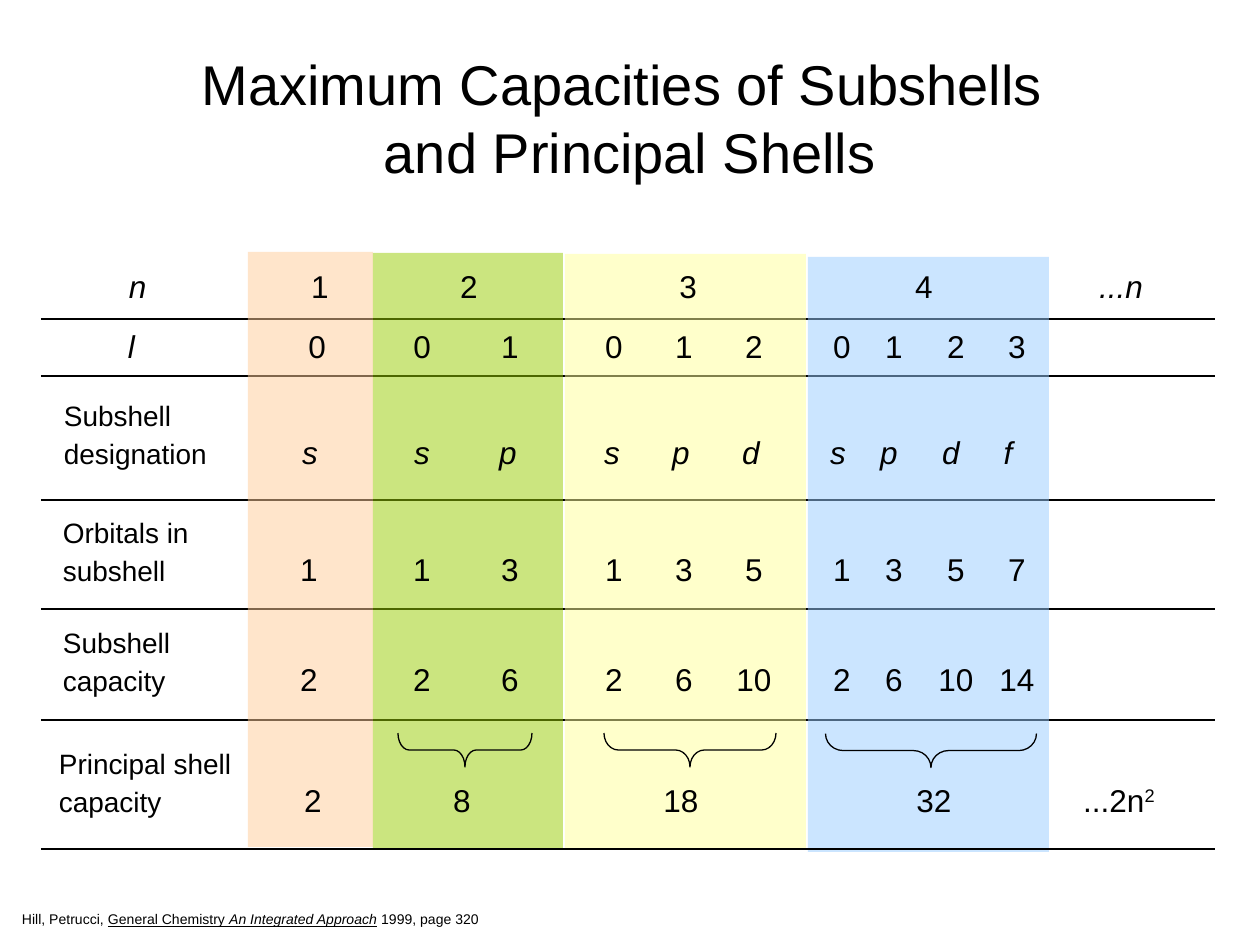
import lxml.etree
import pptx
import pptx.dml.color
import pptx.enum.shapes
import pptx.enum.text
import pptx.oxml.ns
import pptx.util

PX = 914400 // 126
BLACK = "000000"
INSET_X, INSET_Y = 13, 6
qn = pptx.oxml.ns.qn
color = pptx.dml.color.RGBColor.from_string


def px(*lengths):
    return [length * PX for length in lengths]


def add_rule(y):
    rule = slide.shapes.add_connector(
        pptx.enum.shapes.MSO_CONNECTOR.STRAIGHT, *px(41, y, 1215, y))
    rule.line.color.rgb = color(BLACK)
    rule.line.width = pptx.util.Pt(0.75)
    lxml.etree.SubElement(rule._element.spPr, qn("a:effectLst"))


presentation = pptx.Presentation()
presentation.slide_width, presentation.slide_height = pptx.util.Inches(10), pptx.util.Inches(7.5)
slide = presentation.slides.add_slide(presentation.slide_layouts[6])

for y in (319, 376, 500, 609, 720):
    add_rule(y)

bands = [
    (248, 252, 125, "FFCC99"),
    (373, 253, 190, "99CC00"),
    (565, 254, 241, "FFFF99"),
    (808, 257, 241, "99CCFF"),
]
for left, top, width, fill in bands:
    band = slide.shapes.add_shape(
        pptx.enum.shapes.MSO_SHAPE.RECTANGLE, *px(left, top, width, 595))
    band.shadow.inherit = False
    band.line.fill.background()
    band.fill.solid()
    band.fill.fore_color.rgb = color(fill)
    for tint in band._element.spPr.iter(qn("a:srgbClr")):
        lxml.etree.SubElement(tint, qn("a:alpha"), val="50000")

label = {"size": pptx.util.Pt(16)}
value = {"size": pptx.util.Pt(18)}
symbol = {**value, "italic": True}
citation = {"size": pptx.util.Pt(8)}
cited_title = {**citation, "underline": True}
subshells = [422, 510, 614, 684, 754, 842, 894, 956, 1017]
designations = [310, 422, 508, 612, 681, 751, 838, 889, 951, 1008]
middle, top_anchor = pptx.enum.text.MSO_ANCHOR.MIDDLE, pptx.enum.text.MSO_ANCHOR.TOP
center, left_align = pptx.enum.text.PP_ALIGN.CENTER, pptx.enum.text.PP_ALIGN.LEFT

texts = [
    (63, 38, 1134, 158, middle, center, [], [
        [("Maximum Capacities of Subshells \vand Principal Shells", {"size": pptx.util.Pt(32)})]]),
    (116, 261, 1070, 50, top_anchor, left_align, [320, 469, 688, 924, 1121], [
        [("n", symbol), ("\t1\t2\t3\t4", value), ("\t...n", symbol)]]),
    (115, 321, 1070, 50, top_anchor, left_align, [317, *subshells], [
        [("l", symbol), ("\t0\t0\t1\t0\t1\t2\t0\t1\t2\t3", value)]]),
    (51, 393, 1134, 84, top_anchor, left_align, designations, [
        [("Subshell", label)],
        [("designation", label), ("\ts\ts\tp\ts\tp\td\ts\tp\td\tf", symbol)]]),
    (50, 510, 1134, 84, top_anchor, left_align, [309, *subshells], [
        [("Orbitals in", label)],
        [("subshell", label), ("\t1\t1\t3\t1\t3\t5\t1\t3\t5\t7", value)]]),
    (50, 620, 1134, 84, top_anchor, left_align, [309, *subshells], [
        [("Subshell", label)],
        [("capacity", label), ("\t2\t2\t6\t2\t6\t10\t2\t6\t10\t14", value)]]),
    (46, 741, 1134, 84, top_anchor, left_align, [313, 462, 681, 934, 1119], [
        [("Principal shell", label)],
        [("capacity", label), ("\t2\t8\t18\t32\t...2n", value), ("2", {**value, "baseline": "30000"})]]),
    (9, 905, 500, 30, top_anchor, left_align, [], [
        [("Hill, Petrucci, ", citation), ("General Chemistry ", cited_title),
         ("An Integrated Approach", {**cited_title, "italic": True}),
         (" 1999, page 320", citation)]]),
]
for left, top, width, height, anchor, alignment, stops, lines in texts:
    frame = slide.shapes.add_textbox(*px(left, top, width, height)).text_frame
    frame_format = {
        "word_wrap": True, "vertical_anchor": anchor,
        "margin_left": INSET_X * PX, "margin_right": INSET_X * PX,
        "margin_top": INSET_Y * PX, "margin_bottom": INSET_Y * PX,
    }
    for name, setting in frame_format.items():
        setattr(frame, name, setting)
    for index, line in enumerate(lines):
        paragraph = frame.add_paragraph() if index else frame.paragraphs[0]
        paragraph.alignment = alignment
        if stops:
            tab_list = lxml.etree.SubElement(paragraph._p.get_or_add_pPr(), qn("a:tabLst"))
            for stop in stops:
                position = (stop - left - INSET_X) * PX
                lxml.etree.SubElement(tab_list, qn("a:tab"), pos=str(position), algn="ctr")
        for text, run_format in line:
            pieces = text.split("\v")
            for piece_index, piece in enumerate(pieces):
                if piece_index:
                    paragraph.add_line_break()
                run = paragraph.add_run()
                run.text = piece
                run.font.name = "Arial"
                run.font.color.rgb = color(BLACK)
                for name, setting in run_format.items():
                    if name == "baseline":
                        run._r.get_or_add_rPr().set(name, setting)
                    else:
                        setattr(run.font, name, setting)

add_rule(849)

depth = 34
for middle_x, length in ((465, 134), (690, 172), (931, 211)):
    brace = slide.shapes.add_shape(
        pptx.enum.shapes.MSO_SHAPE.LEFT_BRACE,
        *px(middle_x - depth // 2, 750 - length // 2, depth, length))
    brace.rotation = 270
    brace.adjustments[0] = length / 12 / depth
    brace.shadow.inherit = False
    brace.fill.background()
    brace.line.color.rgb = color(BLACK)
    brace.line.width = pptx.util.Pt(0.75)

presentation.save("out.pptx")
